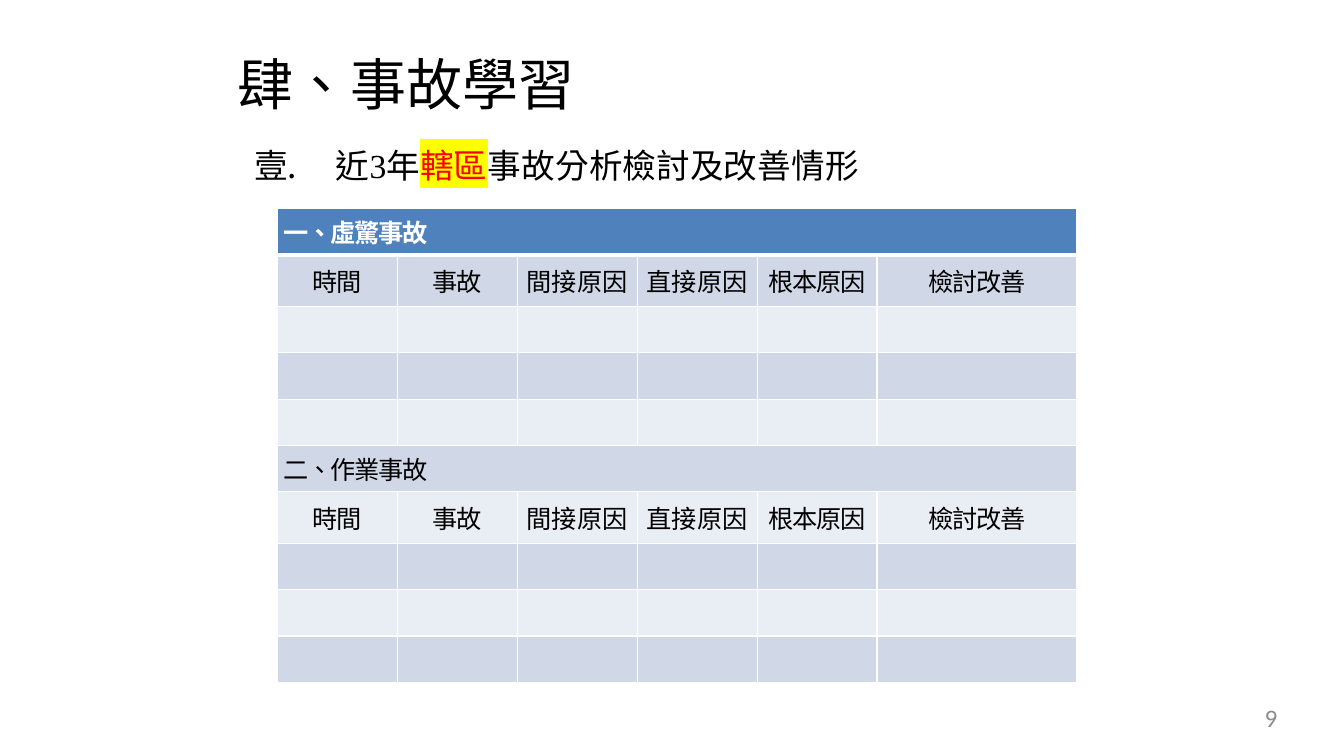
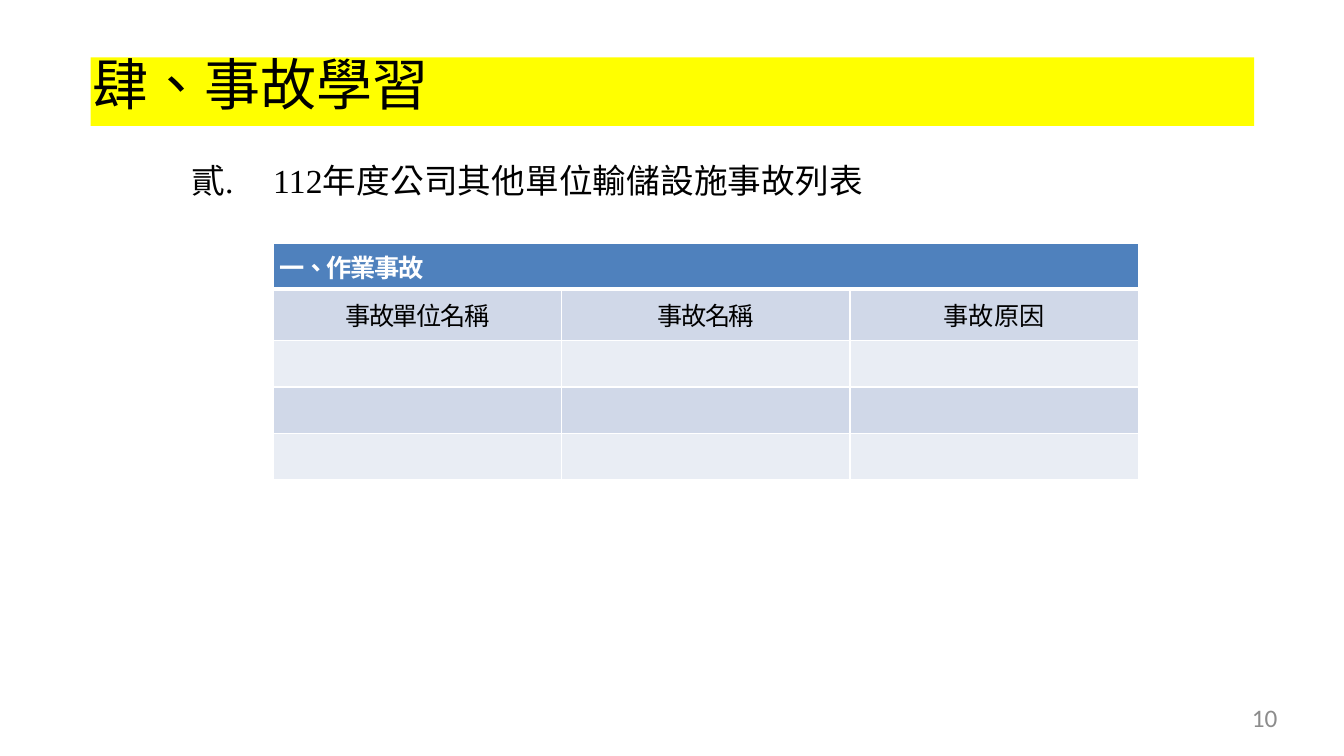
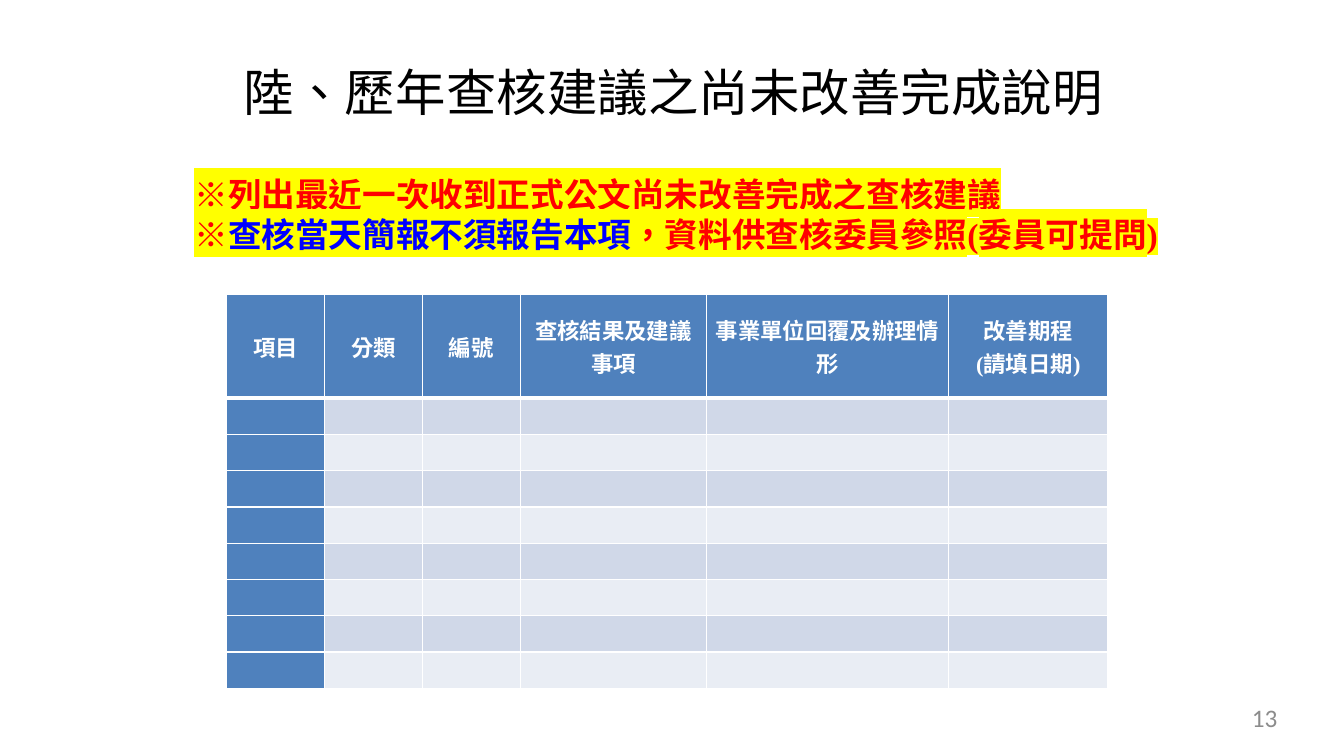
from pptx import Presentation
from pptx.dml.color import RGBColor
from pptx.enum.text import MSO_ANCHOR, MSO_AUTO_SIZE, PP_ALIGN
from pptx.oxml.ns import qn
from pptx.util import Pt
from lxml import etree

# Scale and shared style
PX = 9144  # 100 px to the inch
SLIDE_W, SLIDE_H = 1333, 750
LEFT, CENTER, RIGHT = PP_ALIGN.LEFT, PP_ALIGN.CENTER, PP_ALIGN.RIGHT
TOP, MIDDLE = MSO_ANCHOR.TOP, MSO_ANCHOR.MIDDLE
NO_FIT = MSO_AUTO_SIZE.NONE

BLACK = RGBColor(0, 0, 0)
WHITE = RGBColor(255, 255, 255)
RED = RGBColor(255, 0, 0)
BLUE = RGBColor(0, 0, 255)
YELLOW = RGBColor(255, 255, 0)
GREY = RGBColor(0x8C, 0x8C, 0x8C)
HEAD = RGBColor(0x4F, 0x81, 0xBD)
BAND_DARK = RGBColor(0xD0, 0xD8, 0xE8)
BAND_LIGHT = RGBColor(0xE9, 0xED, 0xF4)

SERIF, CJK, SANS = "Times New Roman", "Noto Sans CJK SC", "Calibri"

# Letter spacing in hundredths of a point
WIDE, NORMAL, TIGHT = 10, 0, -100
UNTIGHTENED = {"間接原因", "直接原因", "事故原因"}

CAUSE_HEADS = ["時間", "事故", "間接原因", "直接原因", "根本原因", "檢討改善"]


def px(*lengths):
    return [n * PX for n in lengths]


def style_run(r, size, color, font=SERIF, bold=False, spacing=NORMAL, highlight=None):
    r.font.size = Pt(size)
    r.font.bold = bold
    r.font.color.rgb = color
    r.font.name = font
    rPr = r.font._element
    rPr.set("lang", "zh-TW")
    rPr.set("spc", str(spacing))
    latin = rPr.find(qn("a:latin"))
    ea = etree.Element(qn("a:ea"), typeface=CJK)
    latin.addnext(ea)
    if highlight is not None:
        mark = etree.Element(qn("a:highlight"))
        etree.SubElement(mark, qn("a:srgbClr"), val=str(highlight))
        latin.addprevious(mark)


def prepare_frame(tf, margins=(0, 0, 0, 0)):
    tf.word_wrap = True
    tf.auto_size = NO_FIT
    tf.vertical_anchor = TOP
    tf.margin_left, tf.margin_top, tf.margin_right, tf.margin_bottom = px(*margins)


def add_text(slide, box, paragraphs, size, margins=(0, 0, 0, 0), align=LEFT,
             line_spacing=None, **run_style):
    """Each paragraph is a list of (text, colour, highlight)."""
    tf = slide.shapes.add_textbox(*px(*box)).text_frame
    prepare_frame(tf, margins)
    for i, runs in enumerate(paragraphs):
        p = tf.paragraphs[0] if i == 0 else tf.add_paragraph()
        p.alignment = align
        p.line_spacing = line_spacing
        for text, color, highlight in runs:
            r = p.add_run()
            r.text = text
            style_run(r, size, color, highlight=highlight, **run_style)
    return tf


def add_slide(prs, title, box, number, size=40, fill=None, indent=2):
    slide = prs.slides.add_slide(prs.slide_layouts[5])
    # Title
    sp = slide.shapes.title
    sp.left, sp.top, sp.width, sp.height = px(*box)
    if fill is not None:
        sp.fill.solid()
        sp.fill.fore_color.rgb = fill
    tf = sp.text_frame
    tf.text = title
    prepare_frame(tf)
    p = tf.paragraphs[0]
    p.alignment = LEFT
    p.line_spacing = 0.9
    p._p.get_or_add_pPr().set("marL", str(indent * PX))
    style_run(p.runs[0], size, BLACK, spacing=WIDE)
    # Slide number
    add_text(slide, (960, 697, 307, 30), [[(str(number), GREY, None)]], 18,
             align=RIGHT, font=SANS)
    return slide


def add_heading(slide, box, runs, start=1):
    """Section heading with an automatic Chinese numeral."""
    tf = add_text(slide, box, [runs], 24, line_spacing=0.9, spacing=WIDE)
    pPr = tf.paragraphs[0]._p.get_or_add_pPr()
    pPr.set("marL", str(83 * PX))
    pPr.set("indent", str(-81 * PX))
    etree.SubElement(pPr, qn("a:buAutoNum"), type="ea1ChtPeriod", startAt=str(start))


def set_borders(cell, bottom):
    tcPr = cell._tc.get_or_add_tcPr()
    widths = {"a:lnL": 1, "a:lnR": 1, "a:lnT": 1, "a:lnB": bottom}
    for i, (tag, width) in enumerate(widths.items()):
        ln = etree.Element(qn(tag), w=str(Pt(width)))
        fill = etree.SubElement(ln, qn("a:solidFill"))
        etree.SubElement(fill, qn("a:srgbClr"), val=str(WHITE))
        tcPr.insert(i, ln)


def add_table(slide, left, top, cols, rows, texts, size=18, font=CJK,
              margins=(6, 3), spacing=TIGHT, head_column=False):
    """texts maps a row to its labels; a single label spans the whole row."""
    frame = slide.shapes.add_table(len(rows), len(cols),
                                   *px(left, top, sum(cols), sum(rows)))
    table = frame.table
    for column, width in zip(table.columns, cols):
        column.width = width * PX
    for row, height in zip(table.rows, rows):
        row.height = height * PX
    for i in range(len(rows)):
        labels = texts.get(i, [])
        for j in range(len(cols)):
            cell = table.cell(i, j)
            is_head = i == 0 or (head_column and j == 0)
            cell.fill.solid()
            cell.fill.fore_color.rgb = (
                HEAD if is_head else BAND_DARK if i % 2 else BAND_LIGHT)
            set_borders(cell, 3 if i == 0 else 1)
            cell.vertical_anchor = MIDDLE
            cell.margin_left = cell.margin_right = margins[0] * PX
            cell.margin_top = cell.margin_bottom = margins[1] * PX
            if j >= len(labels):
                continue
            cell.text = labels[j]
            for p in cell.text_frame.paragraphs:
                p.alignment = LEFT if len(labels) == 1 else CENTER
                style_run(p.runs[0], size, WHITE if is_head else BLACK, font, is_head,
                          NORMAL if labels[j] in UNTIGHTENED else spacing)
        if len(labels) == 1:
            table.cell(i, 0).merge(table.cell(i, len(cols) - 1))


def build_district_accidents(prs):
    slide = add_slide(prs, "肆、事故學習", (234, 57, 866, 67), 9)
    group = [46, 51, 46, 46, 46]
    add_table(slide, 275, 207, [119] * 5 + [198], group * 2,
              {0: ["一、虛驚事故"], 1: CAUSE_HEADS,
               5: ["二、作業事故"], 6: CAUSE_HEADS})
    add_heading(slide, (250, 148, 708, 40),
                [("近3年", BLACK, None), ("轄區", RED, YELLOW),
                 ("事故分析檢討及改善情形", BLACK, None)])


def build_other_units(prs):
    slide = add_slide(prs, "肆、事故學習", (90, 57, 1154, 68), 10, fill=YELLOW)
    add_table(slide, 271, 241, [286] * 3, [46, 51, 46, 46, 46],
              {0: ["一、作業事故"], 1: ["事故單位名稱", "事故名稱", "事故原因"]})
    add_heading(slide, (188, 163, 1024, 40),
                [("112年度公司其他單位輸儲設施事故列表", BLACK, None)], start=2)


def build_open_recommendations(prs):
    slide = add_slide(prs, "陸、歷年查核建議之尚未改善完成說明",
                      (241, 67, 875, 61), 13, size=36, indent=1)
    heads = ["項目", "分類", "編號", "查核結果及建議事項",
             "事業單位回覆及辦理情形", "改善期程\n(請填日期)"]
    add_table(slide, 225, 292, [97, 97, 97, 185, 240, 158], [103] + [36] * 8,
              {0: heads}, size=16, font=SERIF, margins=(7, 0), spacing=NORMAL,
              head_column=True)
    add_text(slide, (183, 167, 985, 91),
             [[("※列出最近一次收到正式公文尚未改善完成之查核建議", RED, YELLOW)],
              [("※", RED, YELLOW), ("查核當天簡報不須報告本項", BLUE, YELLOW),
               ("，資料供查核委員參照(委員可提問)", RED, YELLOW)]],
             24, margins=(10, 5, 10, 5), line_spacing=Pt(29), bold=True)


def main():
    prs = Presentation()
    prs.slide_width, prs.slide_height = px(SLIDE_W, SLIDE_H)
    build_district_accidents(prs)
    build_other_units(prs)
    build_open_recommendations(prs)
    prs.save("out.pptx")


if __name__ == "__main__":
    main()
